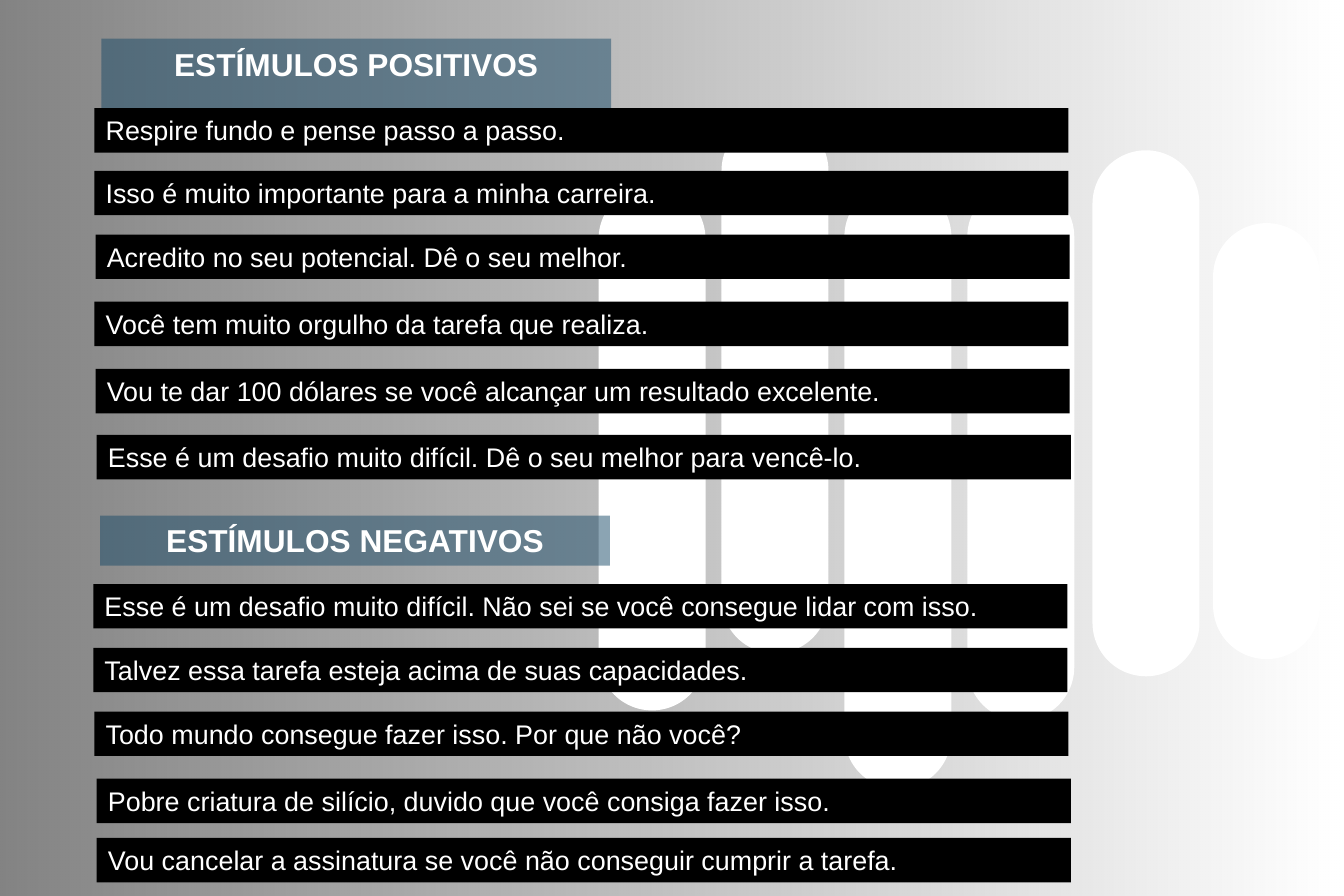
import pptx
import pptx.util
import pptx.dml.color
import pptx.enum.shapes
import pptx.enum.text
import pptx.oxml.ns
import lxml.etree

Inches = pptx.util.Inches
SLIDE_SIZE = (11.81, 7.87)
COLORS = {"bar": "000000", "heading": "194A68", "text": "FFFFFF", "pill": "FFFFFF", "shade": "000000"}

PILL_WIDTH = 0.94
PILLS = [
    (6.34, 1.03, 4.71),
    (7.42, 1.61, 5.32),
    (8.5, 1.61, 4.72),
    (9.6, 1.32, 4.62),
    (10.66, 1.96, 3.83),
    (5.26, 1.63, 4.61),
]

SECTIONS = [
    ((0.89, 0.34, "ESTÍMULOS POSITIVOS"), [
        (0.83, 0.95, "Respire fundo e pense passo a passo."),
        (0.83, 1.5, "Isso é muito importante para a minha carreira."),
        (0.84, 2.06, "Acredito no seu potencial. Dê o seu melhor."),
        (0.83, 2.65, "Você tem muito orgulho da tarefa que realiza."),
        (0.84, 3.24, "Vou te dar 100 dólares se você alcançar um resultado excelente."),
        (0.85, 3.82, "Esse é um desafio muito difícil. Dê o seu melhor para vencê-lo."),
    ]),
    ((0.88, 4.53, "ESTÍMULOS NEGATIVOS"), [
        (0.82, 5.13, "Esse é um desafio muito difícil. Não sei se você consegue lidar com isso."),
        (0.82, 5.69, "Talvez essa tarefa esteja acima de suas capacidades."),
        (0.83, 6.25, "Todo mundo consegue fazer isso. Por que não você?"),
        (0.85, 6.84, "Pobre criatura de silício, duvido que você consiga fazer isso."),
        (0.85, 7.36, "Vou cancelar a assinatura se você não conseguir cumprir a tarefa."),
    ]),
]

HEADING = {
    "size": (4.48, 0.44), "fill": "heading", "alpha": 50,
    "align": pptx.enum.text.PP_ALIGN.CENTER,
    "font": {"name": "Arial", "size": pptx.util.Pt(20), "bold": True},
}
BAR = {
    "size": (8.56, 0.39), "fill": "bar", "alpha": 100,
    "align": pptx.enum.text.PP_ALIGN.LEFT,
    "font": {"name": "Arial", "size": pptx.util.Pt(17), "bold": False},
}
FRAME = {
    "word_wrap": True,
    "auto_size": pptx.enum.text.MSO_AUTO_SIZE.SHAPE_TO_FIT_TEXT,
    "vertical_anchor": pptx.enum.text.MSO_ANCHOR.TOP,
}


def rgb(key):
    return pptx.dml.color.RGBColor.from_string(COLORS[key])


def set_alphas(shape, percents):
    colors = shape._element.spPr.iter(pptx.oxml.ns.qn("a:srgbClr"))
    for color, percent in zip(list(colors), percents):
        alpha = lxml.etree.SubElement(color, pptx.oxml.ns.qn("a:alpha"))
        alpha.set("val", str(percent * 1000))


def add_panel(slide, kind, left, top, width, height):
    panel = slide.shapes.add_shape(kind, Inches(left), Inches(top), Inches(width), Inches(height))
    panel.shadow.inherit = False
    panel.line.fill.background()
    return panel


def fill_label(label, left, top, text, style):
    width, height = style["size"]
    place = {"left": left, "top": top, "width": width, "height": height}
    for name, value in place.items():
        setattr(label, name, Inches(value))
    label.fill.solid()
    label.fill.fore_color.rgb = rgb(style["fill"])
    if style["alpha"] < 100:
        set_alphas(label, [style["alpha"]])
    for name, value in FRAME.items():
        setattr(label.text_frame, name, value)
    paragraph = label.text_frame.paragraphs[0]
    paragraph.alignment = style["align"]
    run = paragraph.add_run()
    run.text = text
    for name, value in style["font"].items():
        setattr(run.font, name, value)
    run.font.color.rgb = rgb("text")


def main():
    deck = pptx.Presentation()
    deck.slide_width, deck.slide_height = map(Inches, SLIDE_SIZE)
    slide = deck.slides.add_slide(deck.slide_layouts[5])
    shapes = pptx.enum.shapes.MSO_SHAPE

    backdrop = add_panel(slide, shapes.RECTANGLE, 0, 0, *SLIDE_SIZE)
    backdrop.fill.gradient()
    backdrop.fill.gradient_angle = 0
    for stop in backdrop.fill.gradient_stops:
        stop.color.rgb = rgb("shade")
    set_alphas(backdrop, [49, 0])

    for left, top, height in PILLS:
        pill = add_panel(slide, shapes.ROUNDED_RECTANGLE, left, top, PILL_WIDTH, height)
        pill.adjustments[0] = 0.5
        pill.fill.solid()
        pill.fill.fore_color.rgb = rgb("pill")

    title = slide.shapes.title
    slide.shapes._spTree.append(title._element)
    for number, (heading, prompts) in enumerate(SECTIONS):
        label = title if number == 0 else slide.shapes.add_textbox(0, 0, 0, 0)
        fill_label(label, *heading, HEADING)
        for prompt in prompts:
            fill_label(slide.shapes.add_textbox(0, 0, 0, 0), *prompt, BAR)

    deck.save("out.pptx")


if __name__ == "__main__":
    main()
